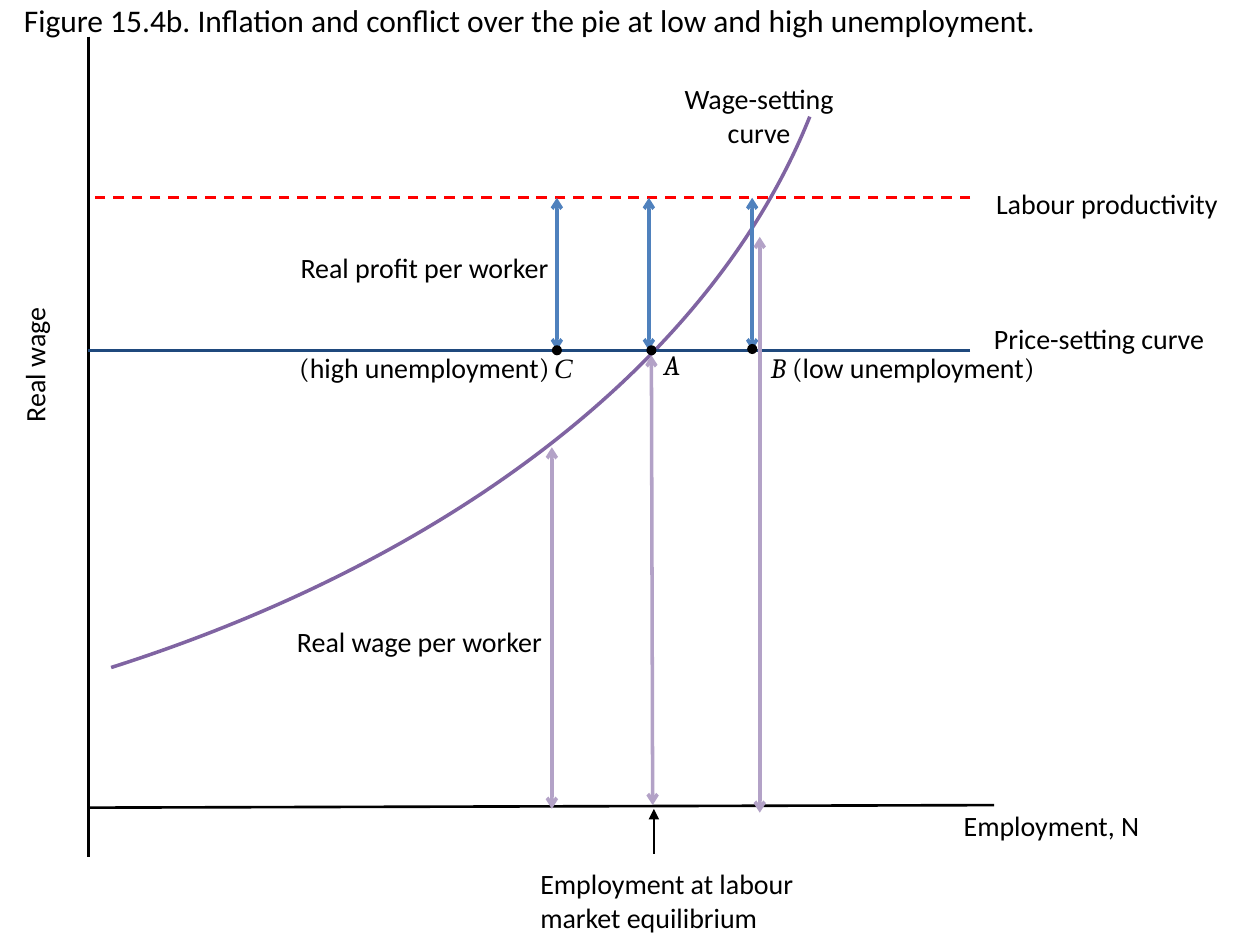
from typing import NamedTuple

from lxml.etree import SubElement
from pptx import Presentation
from pptx.dml.color import RGBColor
from pptx.enum.dml import MSO_LINE
from pptx.enum.shapes import MSO_CONNECTOR, MSO_SHAPE
from pptx.enum.text import MSO_ANCHOR, MSO_AUTO_SIZE, PP_ALIGN
from pptx.oxml.ns import qn
from pptx.util import Inches, Pt

BLACK = "000000"
CURVE_PURPLE = "8064A2"
WAGE_PURPLE = "B3A2C7"
PROFIT_BLUE = "4F81BD"
PRICE_BLUE = "1F497D"
PRODUCTIVITY_RED = "FF0000"
LEFT, CENTER, RIGHT = PP_ALIGN.LEFT, PP_ALIGN.CENTER, PP_ALIGN.RIGHT
AXIS_LEFT = 0.7
PRODUCTIVITY_TOP = 1.57
PRICE_TOP = 2.78
DOT_SIZE = 0.08


class Run(NamedTuple):
    text: str
    font: str = "Calibri"
    italic: bool = False


class Label(NamedTuple):
    left: float
    top: float
    width: float
    height: float
    paragraphs: list[list[Run]]
    alignment: PP_ALIGN = LEFT
    rotation: float = 0


class Line(NamedTuple):
    start: tuple[float, float]
    end: tuple[float, float]
    color: str = BLACK
    width: float = 1.5
    dashed: bool = False
    head: str = ""
    tail: str = ""


def double_arrow(start: tuple[float, float], end: tuple[float, float], color: str) -> Line:
    return Line(start, end, color, 2, head="arrow", tail="arrow")


LINES = [
    Line((7.89, 6.39), (AXIS_LEFT, 6.41)),
    Line((AXIS_LEFT, 0.29), (AXIS_LEFT, 6.8)),
    Line((7.7, PRICE_TOP), (AXIS_LEFT, PRICE_TOP), PRICE_BLUE),
    Line((5.19, 6.42), (5.19, 6.78), head="triangle"),
    Line((7.7, PRODUCTIVITY_TOP), (AXIS_LEFT, PRODUCTIVITY_TOP), PRODUCTIVITY_RED, dashed=True),
    *[double_arrow((x, PRODUCTIVITY_TOP), (x, PRICE_TOP), PROFIT_BLUE) for x in (4.42, 5.15, 5.97)],
    double_arrow((4.38, 3.55), (4.38, 6.42), WAGE_PURPLE),
    double_arrow((5.17, 2.82), (5.18, 6.39), WAGE_PURPLE),
    double_arrow((6.03, 1.88), (6.03, 6.45), WAGE_PURPLE),
]

DOTS = [(4.38, 2.74), (5.13, 2.74), (5.93, 2.73)]

LABELS = [
    Label(5.31, 0.6, 1.43, 0.64, [[Run("Wage-setting")], [Run("curve")]], CENTER),
    Label(4.19, 6.83, 2.25, 0.64, [[Run("Employment at labour market equilibrium")]]),
    Label(7.79, 2.5, 3.91, 0.37, [[Run("Price-setting curve")]]),
    Label(7.55, 6.37, 1.62, 0.37, [[Run("Employment, N")]]),
    Label(6.42, 1.43, 4.73, 0.37, [[Run("Labour productivity")]], CENTER),
    Label(1.69, 1.94, 3.36, 0.37, [[Run("Real profit per worker")]], CENTER),
    Label(1.65, 4.91, 3.36, 0.37, [[Run("Real wage per worker")]], CENTER),
    Label(-1.69, 2.71, 3.93, 0.37, [[Run("Real wage")]], CENTER, 270),
    Label(5.17, 2.71, 0.86, 0.37, [[Run("A", "Cambria", True)]]),
    Label(6.02, 2.73, 3.88, 0.37, [[
        Run("B", "Cambria", True), Run(" (", "Cambria"),
        Run("low unemployment"), Run(")", "Cambria"),
    ]]),
    Label(1.82, 2.73, 2.64, 0.37, [[
        Run("(", "Cambria"), Run("high unemployment"), Run(")", "Cambria"),
    ]], RIGHT),
    Label(4.3, 2.73, 0.43, 0.37, [[Run("C", "Times New Roman", True)]]),
]


def rgb(color: str) -> RGBColor:
    return RGBColor.from_string(color)


def add_run(paragraph, run: Run, size: float) -> None:
    text_run = paragraph.add_run()
    text_run.text = run.text
    font = text_run.font
    font.name = run.font
    font.size = Pt(size)
    font.italic = run.italic
    font.color.rgb = rgb(BLACK)


def set_title(slide, text: str) -> None:
    title = slide.shapes.title
    title.left, title.top = Inches(0.09), Inches(-0.04)
    title.width, title.height = Inches(9.91), Inches(0.4)
    frame = title.text_frame
    frame.auto_size = MSO_AUTO_SIZE.NONE
    frame.vertical_anchor = MSO_ANCHOR.TOP
    paragraph = frame.paragraphs[0]
    paragraph.alignment = LEFT
    add_run(paragraph, Run(text), 18)


def add_wage_setting_curve(slide) -> None:
    curve = slide.shapes.add_shape(
        MSO_SHAPE.ARC, Inches(-14.6), Inches(-7.46), Inches(21.35), Inches(13.48))
    curve.adjustments[0] = 5.42
    curve.adjustments[1] = 30.83
    curve.shadow.inherit = False
    curve.fill.background()
    curve.line.color.rgb = rgb(CURVE_PURPLE)
    curve.line.width = Pt(2)


def add_line(slide, line: Line) -> None:
    connector = slide.shapes.add_connector(
        MSO_CONNECTOR.STRAIGHT, *map(Inches, line.start + line.end))
    connector.line.color.rgb = rgb(line.color)
    connector.line.width = Pt(line.width)
    if line.dashed:
        connector.line.dash_style = MSO_LINE.DASH
    properties = connector.line._get_or_add_ln()
    for tag, kind in (("a:headEnd", line.head), ("a:tailEnd", line.tail)):
        if kind:
            SubElement(properties, qn(tag), type=kind)
    SubElement(connector._element.spPr, qn("a:effectLst"))


def add_dot(slide, left: float, top: float) -> None:
    dot = slide.shapes.add_shape(
        MSO_SHAPE.OVAL, Inches(left), Inches(top), Inches(DOT_SIZE), Inches(DOT_SIZE))
    dot.shadow.inherit = False
    dot.fill.solid()
    dot.fill.fore_color.rgb = rgb(BLACK)
    dot.line.fill.background()


def add_label(slide, label: Label) -> None:
    box = slide.shapes.add_textbox(*map(Inches, label[:4]))
    box.rotation = label.rotation
    frame = box.text_frame
    frame.word_wrap = True
    frame.auto_size = MSO_AUTO_SIZE.SHAPE_TO_FIT_TEXT
    for index, runs in enumerate(label.paragraphs):
        paragraph = frame.add_paragraph() if index else frame.paragraphs[0]
        paragraph.alignment = label.alignment
        for run in runs:
            add_run(paragraph, run, 16)


def main() -> None:
    """Build the wage-setting and price-setting diagram slide."""
    presentation = Presentation()
    presentation.slide_width, presentation.slide_height = Inches(10), Inches(7.5)
    slide = presentation.slides.add_slide(presentation.slide_layouts[5])
    set_title(slide, "Figure 15.4b. Inflation and conflict over the pie at low and high unemployment.")
    add_wage_setting_curve(slide)
    for line in LINES:
        add_line(slide, line)
    for left, top in DOTS:
        add_dot(slide, left, top)
    for label in LABELS:
        add_label(slide, label)
    presentation.save("out.pptx")


if __name__ == "__main__":
    main()
